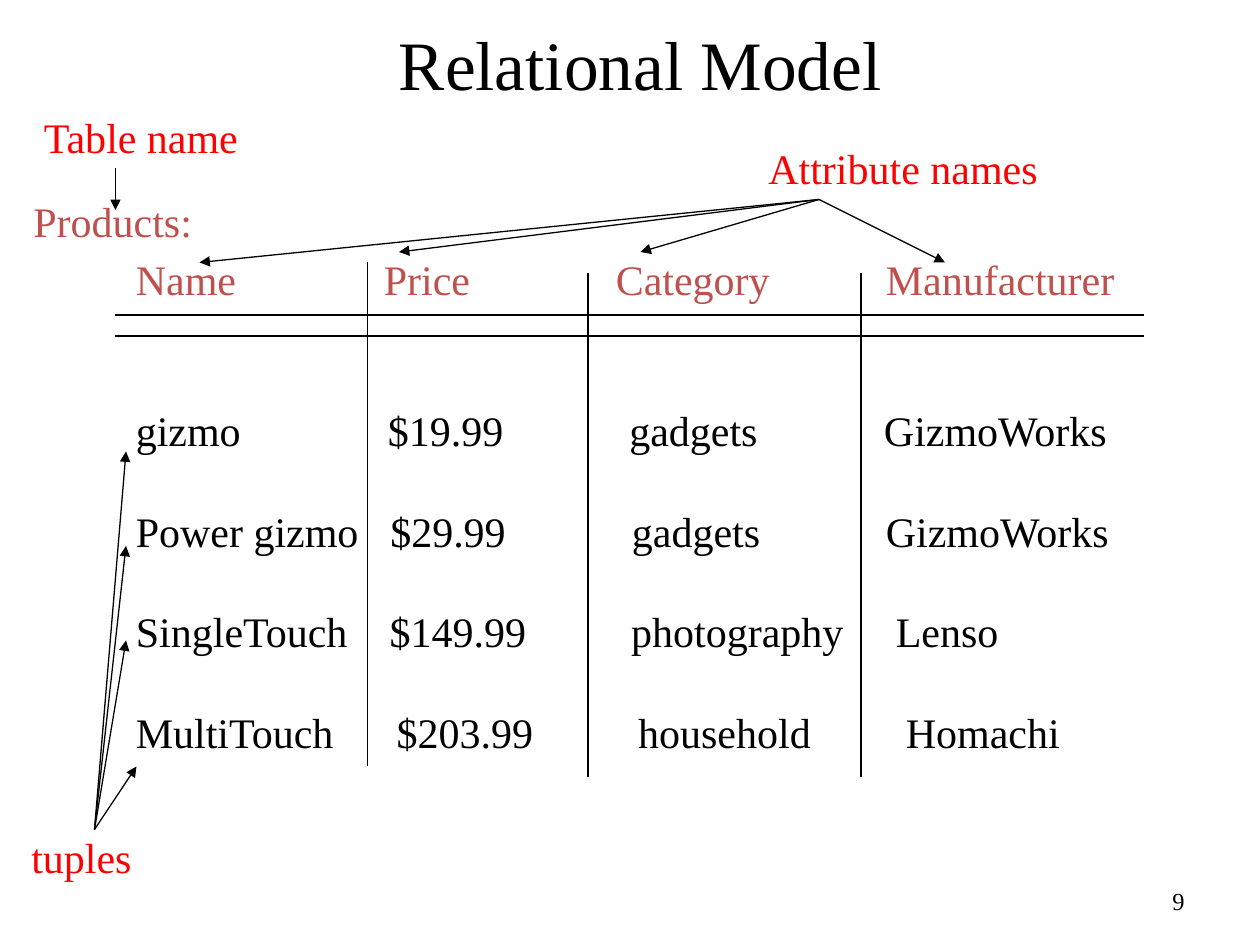
from typing import NamedTuple

from lxml import etree
from pptx import Presentation
from pptx import util as u
from pptx.dml.color import RGBColor
from pptx.enum import shapes, text
from pptx.oxml import ns

BLACK = RGBColor(0x00, 0x00, 0x00)
RED = RGBColor(0xFF, 0x00, 0x00)
BRICK = RGBColor(0xC0, 0x50, 0x4D)
FONT = "Times New Roman"
BODY_SIZE = 24
LINE_HEIGHT = 28.8


class Point(NamedTuple):
    x: float
    y: float


class Label(NamedTuple):
    words: str
    left: float
    top: float
    width: float
    height: float
    color: RGBColor = RED
    size: float = BODY_SIZE
    align: text.PP_ALIGN = text.PP_ALIGN.LEFT
    anchor: text.MSO_ANCHOR = text.MSO_ANCHOR.TOP
    wrap: bool = False


class Row(NamedTuple):
    cells: tuple[str, ...]
    stops: tuple[float, ...]
    space_before: float = LINE_HEIGHT
    color: RGBColor = BLACK


class Fan(NamedTuple):
    start: Point
    tips: tuple[Point, ...]


LABELS = (
    Label("9", 516, 500.5, 168, 28.8, BLACK, 14,
          text.PP_ALIGN.RIGHT, text.MSO_ANCHOR.MIDDLE, True),
    Label("Relational Model", 60, 12, 612, 48, BLACK, 39.6,
          text.PP_ALIGN.CENTER, text.MSO_ANCHOR.MIDDLE, True),
    Label("tuples", 10.8, 471.6, 72, 36),
    Label("Attribute names", 432, 78, 168.5, 36),
    Label("Table name", 18, 60, 156, 36, wrap=True),
    Label("Products:", 12, 108, 105, 36, BRICK),
)
ROWS = (
    Row(("Name", "Price", "Category", "Manufacturer"),
        (141.7, 274.3, 428.6), 0, BRICK),
    Row(("gizmo", "$19.99", "gadgets", "GizmoWorks"),
        (144, 282, 427.5), 2 * LINE_HEIGHT),
    Row(("Power gizmo", "$29.99", "gadgets", "GizmoWorks"), (145.4, 283.5, 428.6)),
    Row(("SingleTouch", "$149.99", "photography", "Lenso"), (145, 283, 434.3)),
    Row(("MultiTouch", "$203.99", "household", "Homachi"), (149, 287, 440)),
)
HEADER_RULES = (180, 192)
COLUMN_RULES = ((210, 150), (336, 156), (492, 156))
COLUMN_HEIGHT = 288
FANS = (
    Fan(Point(54, 474), (Point(78, 438), Point(72, 366), Point(72, 312), Point(72, 258))),
    Fan(Point(468, 114), (Point(114, 150), Point(228, 144), Point(366, 144), Point(540, 150))),
    Fan(Point(66, 96), (Point(66, 120),)),
)


def add_span(para, words: str, size: float, color: RGBColor) -> None:
    span = para.add_run()
    span.text = words
    span.font.name = FONT
    span.font.size = u.Pt(size)
    span.font.color.rgb = color


def add_label(page, label: Label) -> None:
    box = page.shapes.add_textbox(
        u.Pt(label.left), u.Pt(label.top), u.Pt(label.width), u.Pt(label.height))
    frame = box.text_frame
    frame.word_wrap = label.wrap
    frame.vertical_anchor = label.anchor
    para = frame.paragraphs[0]
    para.alignment = label.align
    if label.size == BODY_SIZE:
        para.line_spacing = u.Pt(LINE_HEIGHT)
    add_span(para, label.words, label.size, label.color)


def add_rows(page, rows: tuple[Row, ...]) -> None:
    box = page.shapes.add_textbox(u.Pt(70.56), u.Pt(141.1), u.Pt(573), u.Pt(294.5))
    frame = box.text_frame
    frame.word_wrap = True
    frame.margin_right = u.Pt(0)
    for index, row in enumerate(rows):
        para = frame.add_paragraph() if index else frame.paragraphs[0]
        para.line_spacing = u.Pt(LINE_HEIGHT)
        para.space_before = u.Pt(row.space_before)
        tabs = etree.SubElement(para._p.get_or_add_pPr(), ns.qn("a:tabLst"))
        for stop in row.stops:
            etree.SubElement(tabs, ns.qn("a:tab"), pos=str(u.Pt(stop)), algn="l")
        add_span(para, "\t".join(row.cells), BODY_SIZE, row.color)


def add_line(page, start: Point, end: Point, arrow: bool = False) -> None:
    line = page.shapes.add_connector(
        shapes.MSO_CONNECTOR.STRAIGHT,
        u.Pt(start.x), u.Pt(start.y), u.Pt(end.x), u.Pt(end.y))
    line.line.color.rgb = BLACK
    line.line.width = u.Pt(0.75)
    if arrow:
        etree.SubElement(line.line._get_or_add_ln(), ns.qn("a:tailEnd"), type="triangle")
    etree.SubElement(line._element.spPr, ns.qn("a:effectLst"))


def main() -> None:
    deck = Presentation()
    deck.slide_width, deck.slide_height = u.Pt(720), u.Pt(540)
    page = deck.slides.add_slide(deck.slide_layouts[6])
    for label in LABELS:
        add_label(page, label)
    add_rows(page, ROWS)
    for y in HEADER_RULES:
        add_line(page, Point(66, y), Point(654, y))
    for x, top in COLUMN_RULES:
        add_line(page, Point(x, top), Point(x, top + COLUMN_HEIGHT))
    for fan in FANS:
        for tip in fan.tips:
            add_line(page, fan.start, tip, arrow=True)
    deck.save("out.pptx")


if __name__ == "__main__":
    main()
